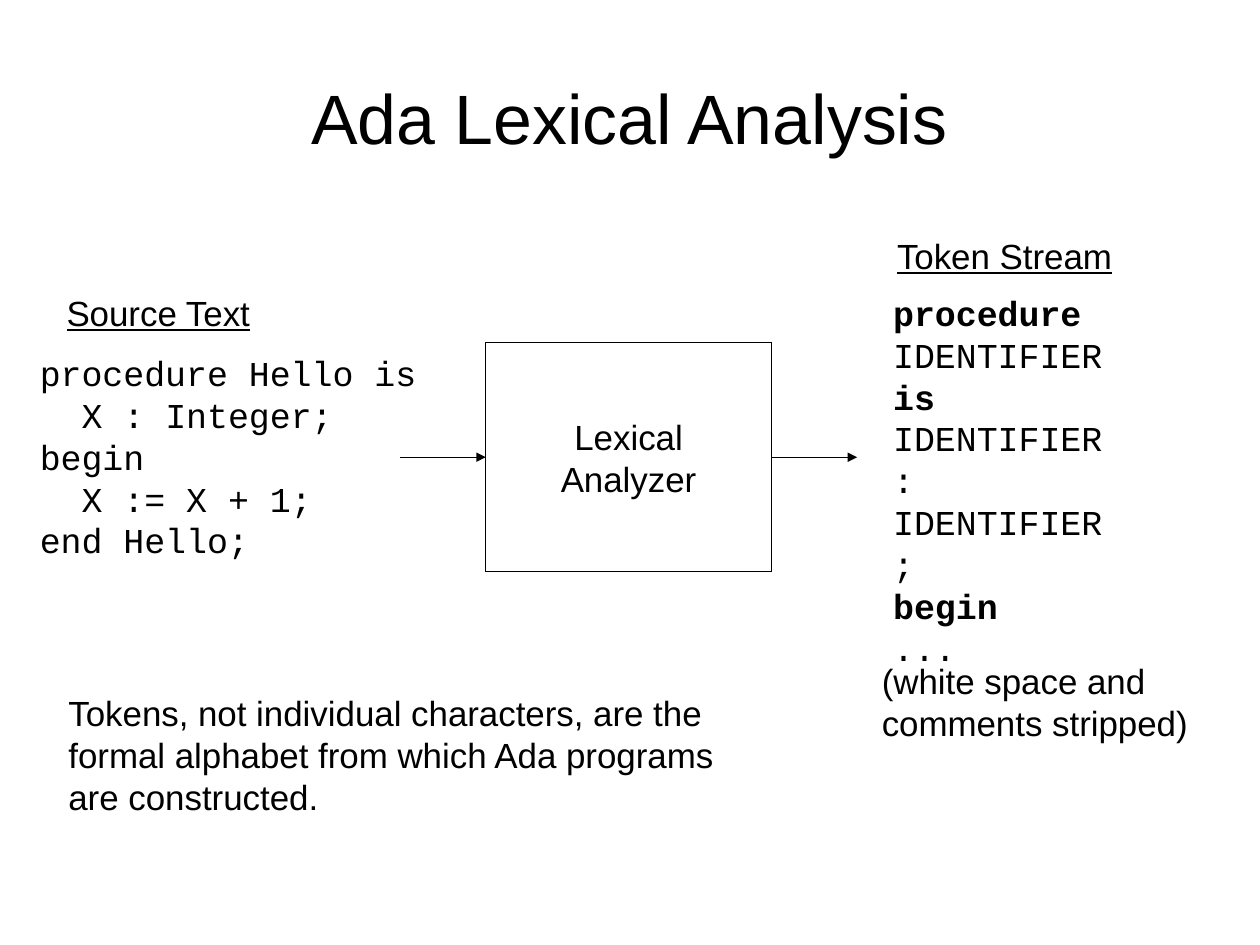
from dataclasses import dataclass

from lxml import etree
from pptx import Presentation
from pptx import util as u
from pptx.dml.color import RGBColor
from pptx.enum import shapes, text
from pptx.oxml import ns

BLACK = RGBColor(0, 0, 0)
WHITE = RGBColor(255, 255, 255)
SANS, MONO = "Arial", "Courier New"
SIZE = 22
STEP = 26.4  # two monospaced characters at 22 pt
MID = 288    # height of the arrows


@dataclass
class Line:
    words: str
    bold: bool = False
    level: int = 0


@dataclass
class Block:
    left: float
    top: float
    width: float
    height: float
    lines: list[Line]
    face: str = SANS
    under: bool = False


@dataclass
class Arrow:
    start: float
    end: float


def plain(*words: str) -> list[Line]:
    return [Line(word) for word in words]


def write(frame, lines: list[Line], align, face: str = SANS,
          size: float = SIZE, under: bool = False) -> None:
    for i, line in enumerate(lines):
        para = frame.paragraphs[0] if i == 0 else frame.add_paragraph()
        para.alignment = align
        if line.level:
            para._p.get_or_add_pPr().set("marL", str(u.Pt(STEP * line.level)))
        run = para.add_run()
        run.text = line.words
        form = {"name": face, "size": u.Pt(size), "bold": line.bold,
                "underline": under}
        for key, value in form.items():
            setattr(run.font, key, value)
        run.font.color.rgb = BLACK


def place(shape, left: float, top: float, width: float, height: float) -> None:
    spots = {"left": left, "top": top, "width": width, "height": height}
    for key, value in spots.items():
        setattr(shape, key, u.Pt(value))


def hairline(shape):
    shape.line.color.rgb = BLACK
    stroke = shape.line._get_or_add_ln()
    stroke.set("w", "0")  # an explicit zero overrides the theme width
    return stroke


def add_block(slide, block: Block) -> None:
    box = slide.shapes.add_textbox(0, 0, 0, 0)
    place(box, block.left, block.top, block.width, block.height)
    frame = box.text_frame
    form = {"word_wrap": False,
            "auto_size": text.MSO_AUTO_SIZE.SHAPE_TO_FIT_TEXT}
    for key, value in form.items():
        setattr(frame, key, value)
    write(frame, block.lines, text.PP_ALIGN.LEFT, block.face,
          under=block.under)


def add_arrow(slide, arrow: Arrow) -> None:
    line = slide.shapes.add_connector(
        shapes.MSO_CONNECTOR.STRAIGHT, u.Pt(arrow.start), u.Pt(MID),
        u.Pt(arrow.end), u.Pt(MID))
    tail = etree.SubElement(hairline(line), ns.qn("a:tailEnd"))
    tail.set("type", "triangle")
    etree.SubElement(line._element.spPr, ns.qn("a:effectLst"))


def add_title(slide, words: str) -> None:
    title = slide.shapes.title
    place(title, 39.6, 23.8, 714.2, 99.4)
    form = {"margin_left": 0, "margin_right": 0, "margin_top": 0,
            "margin_bottom": 0, "word_wrap": True,
            "vertical_anchor": text.MSO_ANCHOR.MIDDLE,
            "auto_size": text.MSO_AUTO_SIZE.NONE}
    for key, value in form.items():
        setattr(title.text_frame, key, value)
    write(title.text_frame, plain(words), text.PP_ALIGN.CENTER, size=44)


def add_stage(slide, lines: list[Line]) -> None:
    stage = slide.shapes.add_shape(shapes.MSO_SHAPE.RECTANGLE, 0, 0, 0, 0)
    place(stage, 306, 216, 180, 144)
    stage.shadow.inherit = False
    stage.fill.solid()
    stage.fill.fore_color.rgb = WHITE
    hairline(stage)
    stage.text_frame.vertical_anchor = text.MSO_ANCHOR.MIDDLE
    write(stage.text_frame, lines, text.PP_ALIGN.CENTER)


SOURCE = [Line("procedure Hello is"), Line("X : Integer;", level=1),
          Line("begin"), Line("X := X + 1;", level=1), Line("end Hello;")]
TOKENS = [Line("procedure", True), Line("IDENTIFIER"), Line("is", True),
          *plain("IDENTIFIER", ":", "IDENTIFIER", ";"),
          Line("begin", True), Line("...")]

BLOCKS = [
    Block(18, 217.8, 252, 131, SOURCE, MONO),
    Block(555.6, 180, 146.2, 230.4, TOKENS, MONO),
    Block(34.8, 180, 130.3, 31.7, plain("Source Text"), under=True),
    Block(558, 144, 149.8, 31.7, plain("Token Stream"), under=True),
    Block(548.4, 411.8, 207.4, 56.2,
          plain("(white space and", "comments stripped)")),
    Block(36, 432, 421.2, 80.6,
          plain("Tokens, not individual characters, are the",
                "formal alphabet from which Ada programs",
                "are constructed.")),
]
ARROWS = [Arrow(252, 306), Arrow(486, 540)]


def main() -> None:
    deck = Presentation()
    deck.slide_width, deck.slide_height = u.Pt(793.75), u.Pt(595.25)
    slide = deck.slides.add_slide(deck.slide_layouts[5])

    # Title and central stage
    add_title(slide, "Ada Lexical Analysis")
    add_stage(slide, plain("Lexical", "Analyzer"))

    # Flow from source text to tokens
    for arrow in ARROWS:
        add_arrow(slide, arrow)

    # Code, headings and remarks
    for block in BLOCKS:
        add_block(slide, block)

    deck.save("out.pptx")


if __name__ == "__main__":
    main()
